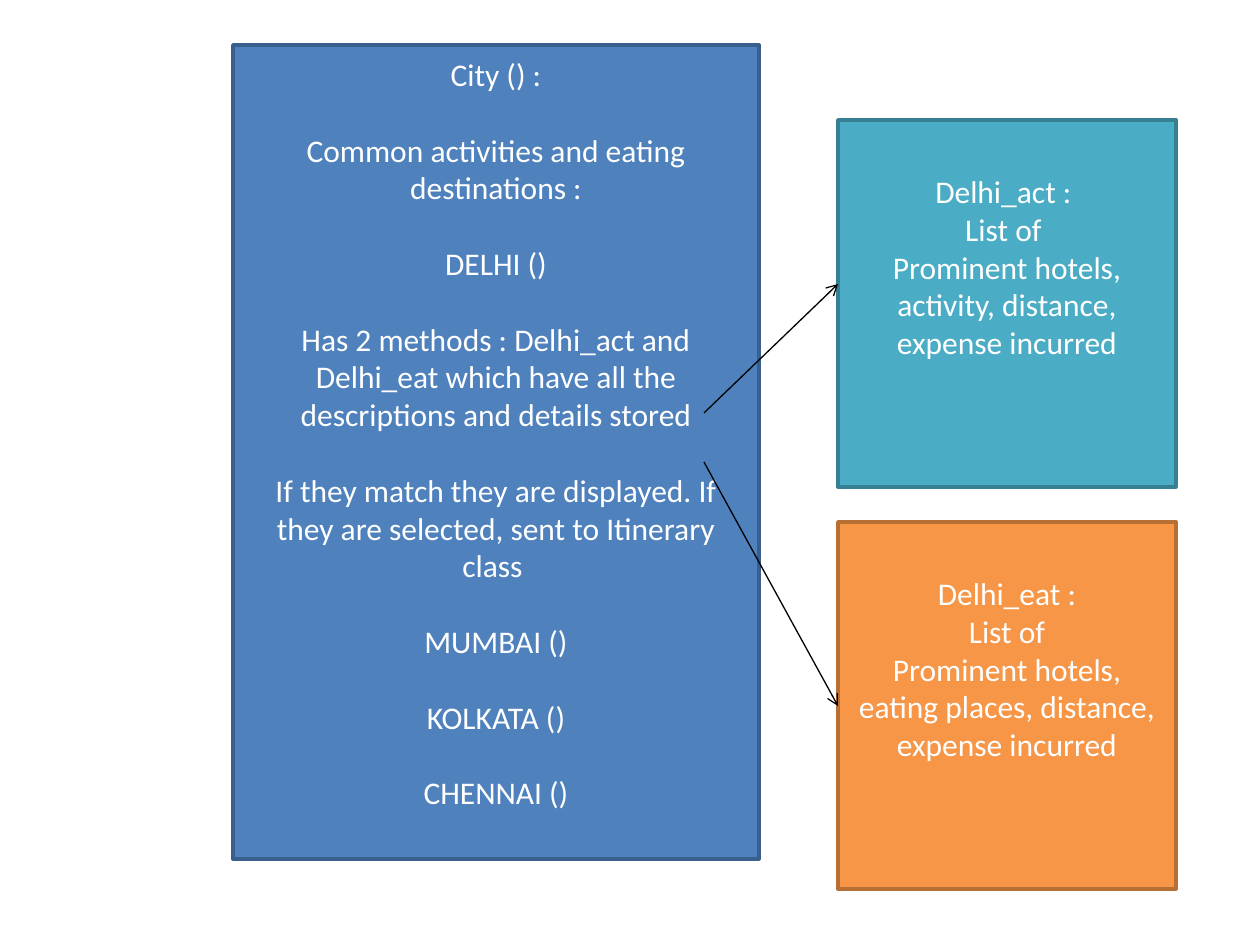
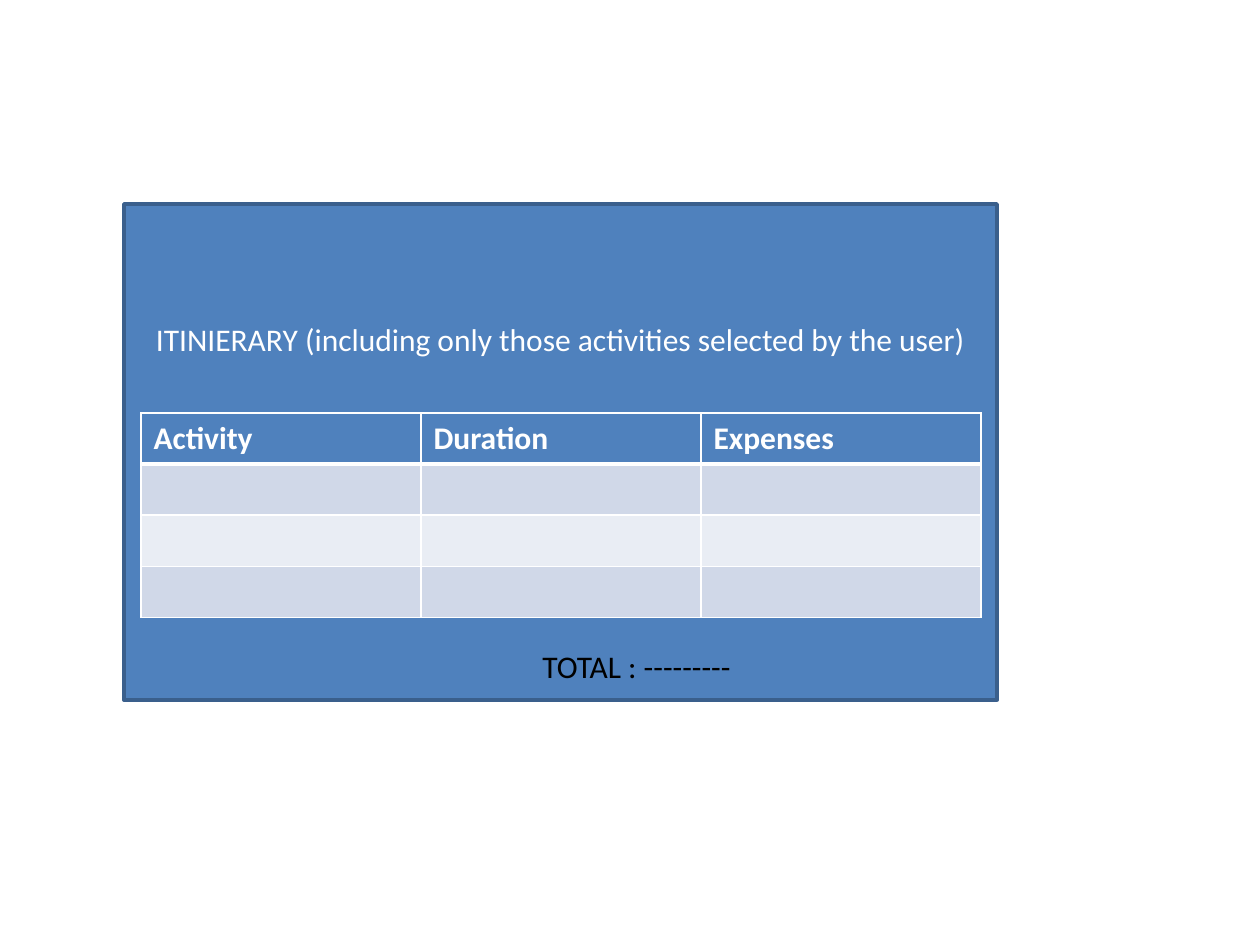
from dataclasses import dataclass
from typing import NamedTuple

from lxml import etree
from pptx import Presentation
from pptx.dml.color import RGBColor
from pptx.enum.shapes import MSO_CONNECTOR, MSO_SHAPE
from pptx.enum.text import MSO_ANCHOR, MSO_AUTO_SIZE, PP_ALIGN
from pptx.oxml.ns import qn
from pptx.slide import Slide
from pptx.table import _Cell
from pptx.text.text import TextFrame
from pptx.util import Emu, Pt

RECTANGLE = MSO_SHAPE.RECTANGLE
STRAIGHT = MSO_CONNECTOR.STRAIGHT
TOP = MSO_ANCHOR.TOP
GROW = MSO_AUTO_SIZE.SHAPE_TO_FIT_TEXT
LEFT = PP_ALIGN.LEFT
CENTER = PP_ALIGN.CENTER
PX_PER_INCH = 126


class Tone(NamedTuple):
    fill: str
    edge: str


@dataclass(frozen=True)
class Theme:
    font: str = "Calibri"
    text_size: float = 18
    line_gap: float = 21.6
    edge_width: float = 2
    arrow_width: float = 0.75
    grid_width: float = 1
    header_rule: float = 3
    white: str = "FFFFFF"
    black: str = "000000"
    blue: Tone = Tone("4F81BD", "3A5F8C")
    teal: Tone = Tone("4BACC6", "377F92")
    orange: Tone = Tone("F79646", "B76F34")
    bands: tuple[str, str] = ("D0D8E8", "E9EDF4")


THEME = Theme()


class Area(NamedTuple):
    left: int
    top: int
    width: int
    height: int


@dataclass(frozen=True)
class Panel:
    area: Area
    tone: Tone
    lines: tuple[str, ...]
    text_top: int
    gap: float = 0


class Arrow(NamedTuple):
    start: tuple[int, int]
    end: tuple[int, int]


CITY_PANELS = (
    Panel(
        Area(233, 45, 526, 814),
        THEME.blue,
        (
            "City () :",
            "Common activities and eating destinations :",
            "DELHI ()",
            "Has 2 methods : Delhi_act and Delhi_eat which have all the descriptions and details stored",
            "If they match they are displayed. If they are selected, sent to Itinerary class ",
            "MUMBAI ()",
            "KOLKATA ()",
            "CHENNAI ()",
        ),
        text_top=10,
        gap=THEME.line_gap,
    ),
    Panel(
        Area(838, 120, 338, 367),
        THEME.teal,
        ("Delhi_act : ", "List of ", "Prominent hotels, activity, distance, expense incurred"),
        text_top=52,
    ),
    Panel(
        Area(838, 522, 338, 367),
        THEME.orange,
        ("Delhi_eat :", "List of", "Prominent hotels, eating places, distance, expense incurred"),
        text_top=52,
    ),
)
CITY_ARROWS = (
    Arrow((704, 413), (838, 284)),
    Arrow((704, 462), (838, 706)),
)
ITINERARY_PANEL = Panel(
    Area(124, 204, 873, 496),
    THEME.blue,
    ("ITINIERARY (including only those activities selected by the user)",),
    text_top=116,
)
ITINERARY_TABLE = Area(141, 413, 840, 204)
ITINERARY_HEADINGS = ("Activity", "Duration", "Expenses")
ITINERARY_ROWS = 4
TOTAL_AREA = Area(530, 641, 215, 50)


def px(length: int) -> Emu:
    return Emu(round(length * 914400 / PX_PER_INCH))


def place(area: Area) -> tuple[Emu, ...]:
    return tuple(px(length) for length in area)


def color(value: str) -> RGBColor:
    return RGBColor.from_string(value)


def write(
    frame: TextFrame,
    *lines: str,
    ink: str = THEME.white,
    bold: bool = False,
    align: PP_ALIGN = LEFT,
    gap: float = 0,
) -> None:
    for index, line in enumerate(lines):
        para = frame.paragraphs[0] if index == 0 else frame.add_paragraph()
        para.alignment = align
        para.space_before = Pt(gap if index else 0)
        span = para.add_run()
        span.text = line
        span.font.name = THEME.font
        span.font.size = Pt(THEME.text_size)
        span.font.bold = bold
        span.font.color.rgb = color(ink)


def draw_panel(page: Slide, panel: Panel) -> None:
    box = page.shapes.add_shape(RECTANGLE, *place(panel.area))
    box.shadow.inherit = False
    box.fill.solid()
    box.fill.fore_color.rgb = color(panel.tone.fill)
    box.line.color.rgb = color(panel.tone.edge)
    box.line.width = Pt(THEME.edge_width)
    frame = box.text_frame
    frame.word_wrap = True
    frame.vertical_anchor = TOP
    frame.margin_top = px(panel.text_top)
    write(frame, *panel.lines, align=CENTER, gap=panel.gap)


def draw_arrow(page: Slide, arrow: Arrow) -> None:
    connector = page.shapes.add_connector(STRAIGHT, *place(arrow.start + arrow.end))
    connector.line.color.rgb = color(THEME.black)
    connector.line.width = Pt(THEME.arrow_width)
    properties = connector._element.spPr
    etree.SubElement(properties.find(qn("a:ln")), qn("a:tailEnd"), type="arrow")
    etree.SubElement(properties, qn("a:effectLst"))


def set_borders(cell: _Cell, top: float, bottom: float) -> None:
    side = THEME.grid_width
    widths = {"lnL": side, "lnR": side, "lnT": top, "lnB": bottom}
    properties = cell._tc.get_or_add_tcPr()
    for position, (name, width) in enumerate(widths.items()):
        border = etree.Element(qn(f"a:{name}"), w=str(Pt(width)))
        fill = etree.SubElement(border, qn("a:solidFill"))
        etree.SubElement(fill, qn("a:srgbClr"), val=THEME.white)
        properties.insert(position, border)


def draw_table(page: Slide, area: Area, headings: tuple[str, ...], row_count: int) -> None:
    table = page.shapes.add_table(row_count, len(headings), *place(area)).table
    for row_index in range(row_count):
        is_header = row_index == 0
        fill = THEME.blue.fill if is_header else THEME.bands[(row_index - 1) % 2]
        top = THEME.header_rule if row_index == 1 else THEME.grid_width
        bottom = THEME.header_rule if is_header else THEME.grid_width
        for column_index, heading in enumerate(headings):
            cell = table.cell(row_index, column_index)
            cell.fill.solid()
            cell.fill.fore_color.rgb = color(fill)
            set_borders(cell, top, bottom)
            if is_header:
                write(cell.text_frame, heading, bold=True)


def draw_label(page: Slide, area: Area, text: str) -> None:
    frame = page.shapes.add_textbox(*place(area)).text_frame
    frame.word_wrap = False
    frame.auto_size = GROW
    write(frame, text, ink=THEME.black)


def build_city(page: Slide) -> None:
    for panel in CITY_PANELS:
        draw_panel(page, panel)
    for arrow in CITY_ARROWS:
        draw_arrow(page, arrow)


def build_itinerary(page: Slide) -> None:
    draw_panel(page, ITINERARY_PANEL)
    draw_table(page, ITINERARY_TABLE, ITINERARY_HEADINGS, ITINERARY_ROWS)
    draw_label(page, TOTAL_AREA, "TOTAL : ---------")


def main() -> None:
    deck = Presentation()
    deck.slide_width = px(1260)
    deck.slide_height = px(945)
    blank = deck.slide_layouts.get_by_name("Blank")
    for build in (build_city, build_itinerary):
        build(deck.slides.add_slide(blank))
    deck.save("out.pptx")


if __name__ == "__main__":
    main()
